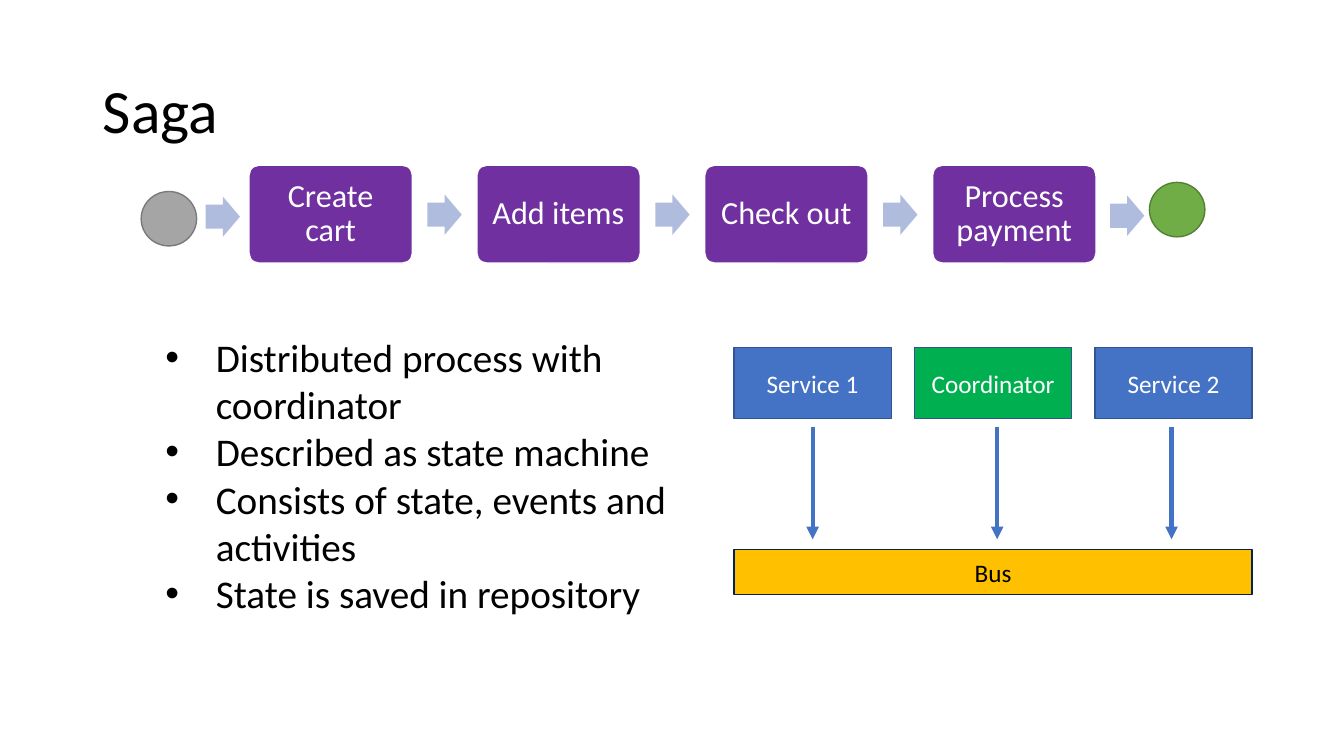
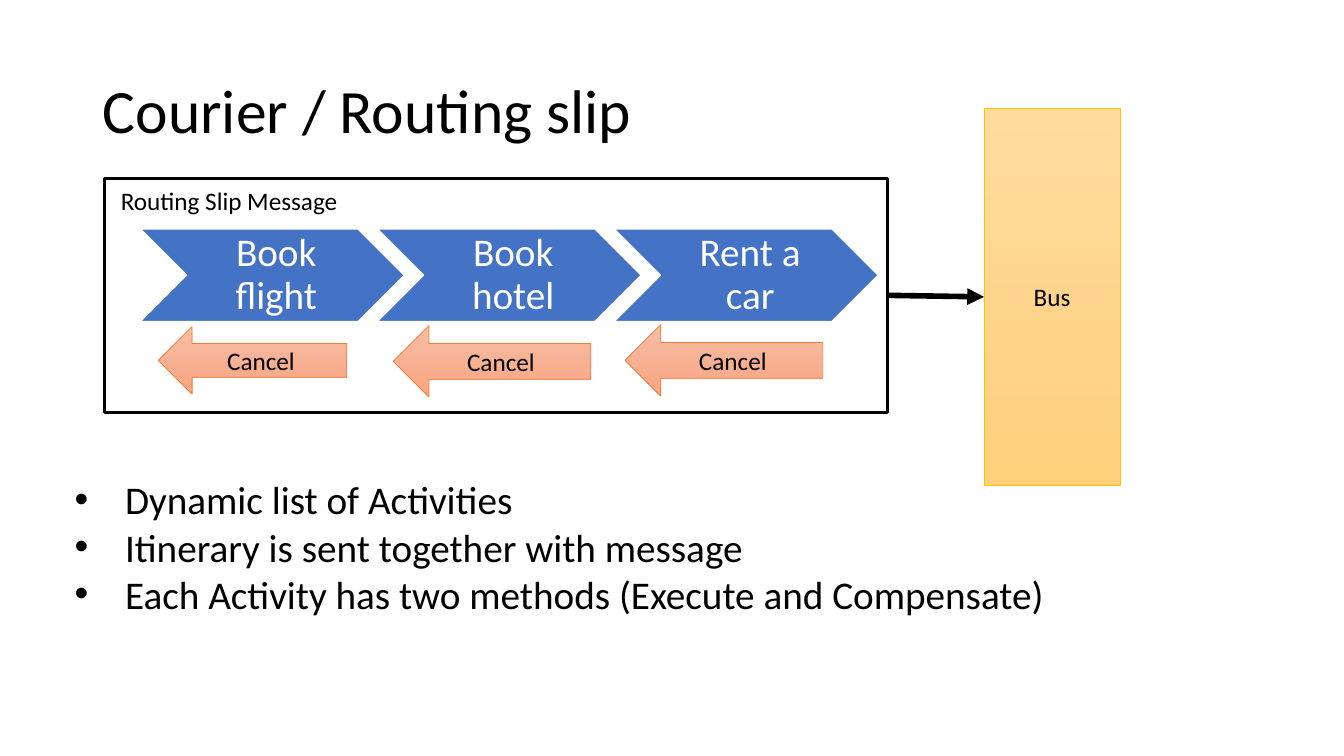
import pptx
import pptx.util
import pptx.dml.color
import pptx.enum.shapes
import pptx.enum.text
import pptx.oxml.ns
from lxml import etree

Inches = pptx.util.Inches
Pt = pptx.util.Pt
SHAPE = pptx.enum.shapes.MSO_SHAPE
ALIGN = pptx.enum.text.PP_ALIGN
ANCHOR = pptx.enum.text.MSO_ANCHOR
qn = pptx.oxml.ns.qn

FONT = "Calibri"
COLORS = {
    "black": "000000",
    "white": "FFFFFF",
    "purple": "7030A0",
    "pale_blue": "B0BCDE",
    "gray": "A5A5A5",
    "gray_edge": "7A7A7A",
    "leaf": "70AD47",
    "leaf_edge": "538035",
    "blue": "4472C4",
    "blue_edge": "325491",
    "green": "00B050",
    "gold": "FFC000",
    "navy": "002060",
    "orange": "ED7D31",
    "salmon_light": "F7BDA5",
    "salmon": "F8A582",
    "sand_light": "FFDB9E",
    "sand": "FFD07C",
}


def rgb(name):
    return pptx.dml.color.RGBColor.from_string(COLORS[name])


class Deck:
    def __init__(self):
        self.prs = pptx.Presentation()
        self.prs.slide_width = Inches(13.33)
        self.prs.slide_height = Inches(7.5)
        self.slide = None

    def place(self, sp, box):
        sp.left, sp.top, sp.width, sp.height = [Inches(v) for v in box]

    def fill_paragraph(self, p, text, size, color="black", align=ALIGN.LEFT,
                       spacing=1.0):
        p.alignment = align
        p.line_spacing = spacing
        p.space_before = Pt(0)
        r = p.add_run()
        r.text = text
        r.font.name = FONT
        r.font.size = Pt(size)
        r.font.color.rgb = rgb(color)

    def new_slide(self, title, items, list_box):
        """Start a slide with its title and bulleted list."""
        self.slide = self.prs.slides.add_slide(self.prs.slide_layouts[1])
        heading, body = self.slide.placeholders
        self.place(heading, (0.92, 0.4, 11.5, 1.45))
        self.place(body, list_box)
        for sp, anchor in ((heading, ANCHOR.MIDDLE), (body, ANCHOR.TOP)):
            sp.text_frame.auto_size = pptx.enum.text.MSO_AUTO_SIZE.NONE
            sp.text_frame.vertical_anchor = anchor
        self.fill_paragraph(heading.text_frame.paragraphs[0], title, 44, spacing=0.9)
        tf = body.text_frame
        for i, item in enumerate(items):
            p = tf.add_paragraph() if i else tf.paragraphs[0]
            self.fill_paragraph(p, item, 28)
            pPr = p._p.get_or_add_pPr()
            pPr.set("marL", str(Inches(0.5)))
            pPr.set("indent", str(Inches(-0.5)))

    def shape(self, kind, box, fill, line=None, width=1, adj=()):
        """Draw a preset shape; a pair of fill names makes a vertical gradient."""
        sp = self.slide.shapes.add_shape(kind, *[Inches(v) for v in box])
        sp.shadow.inherit = False
        for i, value in enumerate(adj):
            sp.adjustments[i] = value
        if isinstance(fill, tuple):
            sp.fill.gradient()
            sp.fill.gradient_angle = 270
            for stop, name in zip(sp.fill.gradient_stops, fill):
                stop.color.rgb = rgb(name)
        else:
            sp.fill.solid()
            sp.fill.fore_color.rgb = rgb(fill)
        if line:
            sp.line.color.rgb = rgb(line)
            sp.line.width = Pt(width)
        else:
            sp.line.fill.background()
        return sp

    def label(self, sp, text, color="black", size=18, spacing=1.0, insets=None):
        """Put centred text in a shape; insets run left, top, right, bottom."""
        tf = sp.text_frame
        tf.word_wrap = True
        tf.vertical_anchor = ANCHOR.MIDDLE
        if insets:
            (tf.margin_left, tf.margin_top,
             tf.margin_right, tf.margin_bottom) = [Inches(v) for v in insets]
        self.fill_paragraph(tf.paragraphs[0], text, size, color, ALIGN.CENTER, spacing)

    def text(self, box, text, size):
        sp = self.slide.shapes.add_textbox(*[Inches(v) for v in box])
        sp.text_frame.word_wrap = True
        self.fill_paragraph(sp.text_frame.paragraphs[0], text, size)

    def arrow(self, start, end, color, width):
        c = self.slide.shapes.add_connector(
            pptx.enum.shapes.MSO_CONNECTOR.STRAIGHT,
            *[Inches(v) for v in start + end])
        c.line.color.rgb = rgb(color)
        c.line.width = Pt(width)
        spPr = c.element.spPr
        etree.SubElement(spPr.find(qn("a:ln")), qn("a:tailEnd"), type="triangle")
        etree.SubElement(spPr, qn("a:effectLst"))
        return c

    def step_arrow(self, x, y):
        self.shape(SHAPE.RIGHT_ARROW, (x, y, 0.34, 0.4), "pale_blue", adj=(0.6, 0.5))


def saga(deck):
    deck.new_slide("Saga", [
        "Distributed process with coordinator",
        "Described as state machine",
        "Consists of state, events and activities",
        "State is saved in repository",
    ], (1.54, 3.26, 5.98, 2.93))

    steps = ["Create cart", "Add items", "Check out", "Process payment"]
    for i, step in enumerate(steps):
        x = 2.47 + 2.26 * i
        sp = deck.shape(SHAPE.ROUNDED_RECTANGLE, (x, 1.64, 1.62, 0.97),
                        "purple", "white", adj=(0.1,))
        deck.label(sp, step, "white", 23, 0.9, (0.1, 0.1, 0.1, 0.1))
        if i < len(steps) - 1:
            deck.step_arrow(x + 1.77, 1.93)
    deck.shape(SHAPE.OVAL, (1.4, 1.9, 0.55, 0.54), "gray", "gray_edge")
    deck.step_arrow(2.04, 1.95)
    deck.step_arrow(11.01, 1.94)
    deck.shape(SHAPE.OVAL, (11.4, 1.81, 0.55, 0.54), "leaf", "leaf_edge")

    services = [("Service 1", "blue", 8.06), ("Coordinator", "green", 9.89),
                ("Service 2", "blue", 11.62)]
    for i, (name, fill, arrow_x) in enumerate(services):
        sp = deck.shape(SHAPE.RECTANGLE, (7.28 + 1.79 * i, 3.45, 1.56, 0.7),
                        fill, "blue_edge")
        deck.label(sp, name, "white")
        deck.arrow((arrow_x, 4.24), (arrow_x, 5.35), "blue", 3)
    bus = deck.shape(SHAPE.RECTANGLE, (7.28, 5.45, 5.14, 0.45), "gold", "navy")
    deck.label(bus, "Bus")


def routing_slip(deck):
    deck.new_slide("Courier / Routing slip", [
        "Dynamic list of Activities",
        "Itinerary is sent together with message",
        "Each Activity has two methods (Execute and Compensate)",
    ], (0.64, 4.67, 10.54, 1.51))

    message = deck.shape(SHAPE.RECTANGLE, (1.04, 1.77, 7.76, 2.32),
                         "white", "black", 2.25)
    deck.text((1.1, 1.79, 2.67, 0.4), "Routing Slip Message", 18)
    activities = [
        ("Book flight", (1.57, 3.24, 1.87, 0.67)),
        ("Book hotel", (3.9, 3.23, 1.96, 0.71)),
        ("Rent a car", (6.2, 3.22, 1.96, 0.71)),
    ]
    for i, (activity, cancel_box) in enumerate(activities):
        sp = deck.shape(SHAPE.CHEVRON, (1.39 + 2.35 * i, 2.27, 2.62, 0.92),
                        "blue", "white")
        deck.label(sp, activity, "white", 28, 0.9, (0.12, 0.04, 0.04, 0.04))
        cancel = deck.shape(SHAPE.LEFT_ARROW, cancel_box,
                            ("salmon_light", "salmon"), "orange", 0.5)
        deck.label(cancel, "Cancel")

    bus = deck.shape(SHAPE.RECTANGLE, (9.76, 1.07, 1.35, 3.75),
                     ("sand_light", "sand"), "gold", 0.5)
    deck.label(bus, "Bus")
    link = deck.arrow((8.8, 2.93), (9.76, 2.94), "black", 4)
    link.begin_connect(message, 3)
    link.end_connect(bus, 1)


def main():
    deck = Deck()
    saga(deck)
    routing_slip(deck)
    deck.prs.save("out.pptx")


if __name__ == "__main__":
    main()
